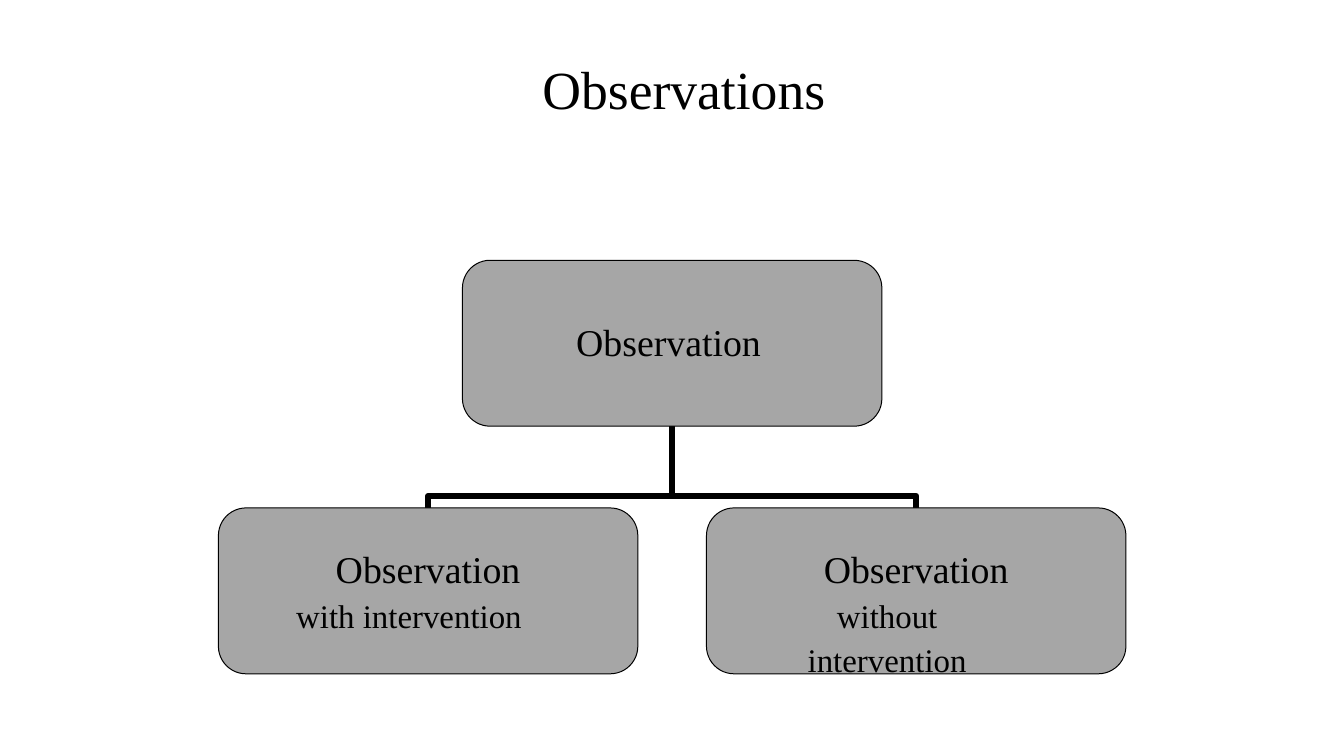
from dataclasses import dataclass
from pptx import Presentation
from pptx.dml.color import RGBColor
from pptx.enum.shapes import MSO_SHAPE
from pptx.enum.text import MSO_ANCHOR, PP_ALIGN
from pptx.util import Cm, Pt

ROUND = MSO_SHAPE.ROUNDED_RECTANGLE
TOP, MIDDLE = MSO_ANCHOR.TOP, MSO_ANCHOR.MIDDLE
CENTER = PP_ALIGN.CENTER


@dataclass(frozen=True)
class Theme:
    font: str = "Times New Roman"
    ink: RGBColor = RGBColor(0, 0, 0)
    fill: RGBColor = RGBColor(0xA6, 0xA6, 0xA6)
    title: float = 38.3
    head: float = 27
    note: float = 23.5
    edge: float = 0.72
    rail: float = 4.5


THEME = Theme()
WIDTH, HEIGHT = 10.57, 4.18
MID, STEP = 16.94, 6.15
ROOT_Y, RAIL_Y, KID_Y = 6.56, 12.5, 12.8


def set_frame(frame, anchor, top=0):
    frame.word_wrap = True
    frame.vertical_anchor = anchor
    frame.margin_left = frame.margin_right = frame.margin_bottom = 0
    frame.margin_top = Cm(top)


def set_indent(para, left, right):
    props = para._p.get_or_add_pPr()
    props.set("marL", str(Cm(left)))
    props.set("marR", str(Cm(right)))


def add_run(para, text, size):
    para.alignment = CENTER
    run = para.add_run()
    run.text = text
    font = run.font
    font.name, font.size = THEME.font, Pt(size)
    font.color.rgb = THEME.ink


def add_title(slide, text):
    box = slide.shapes.add_textbox(Cm(10.06), Cm(1.41), Cm(14.35), Cm(1.63))
    set_frame(box.text_frame, TOP)
    add_run(box.text_frame.paragraphs[0], text, THEME.title)


def add_node(slide, mid, top, text, anchor, inset, right=0):
    node = slide.shapes.add_shape(
        ROUND, Cm(mid - WIDTH / 2), Cm(top), Cm(WIDTH), Cm(HEIGHT))
    node.shadow.inherit = False
    node.fill.solid()
    node.fill.fore_color.rgb = THEME.fill
    node.line.color.rgb = THEME.ink
    node.line.width = Pt(THEME.edge)
    set_frame(node.text_frame, anchor, inset)
    para = node.text_frame.paragraphs[0]
    para.line_spacing = Pt(28.9)
    set_indent(para, 0, right)
    add_run(para, text, THEME.head)
    return node


def add_note(node, text, left, right):
    para = node.text_frame.add_paragraph()
    para.line_spacing = Pt(31.5)
    set_indent(para, left, right)
    add_run(para, text, THEME.note)


def add_branch(slide, mid):
    pen = slide.shapes.build_freeform(Cm(MID), Cm(ROOT_Y + HEIGHT))
    turns = [(MID, RAIL_Y), (mid, RAIL_Y), (mid, KID_Y)]
    pen.add_line_segments([(Cm(x), Cm(y)) for x, y in turns], close=False)
    branch = pen.convert_to_shape()
    branch.shadow.inherit = False
    branch.fill.background()
    branch.line.color.rgb = THEME.ink
    branch.line.width = Pt(THEME.rail)


def main():
    deck = Presentation()
    deck.slide_width, deck.slide_height = Cm(33.87), Cm(19.05)
    slide = deck.slides.add_slide(deck.slide_layouts[6])
    add_title(slide, "Observations")

    left, right = MID - STEP, MID + STEP
    for mid in (right, left):
        add_branch(slide, mid)

    add_node(slide, MID, ROOT_Y, "Observation", MIDDLE, 0.05, 0.18)
    kids = [
        (left, "with intervention", 1, 1.96),
        (right, "without intervention", 2, 3.46),
    ]
    for mid, note, before, after in kids:
        kid = add_node(slide, mid, KID_Y, "Observation", TOP, 0.86)
        add_note(kid, note, before, after)

    deck.save("out.pptx")


if __name__ == "__main__":
    main()
